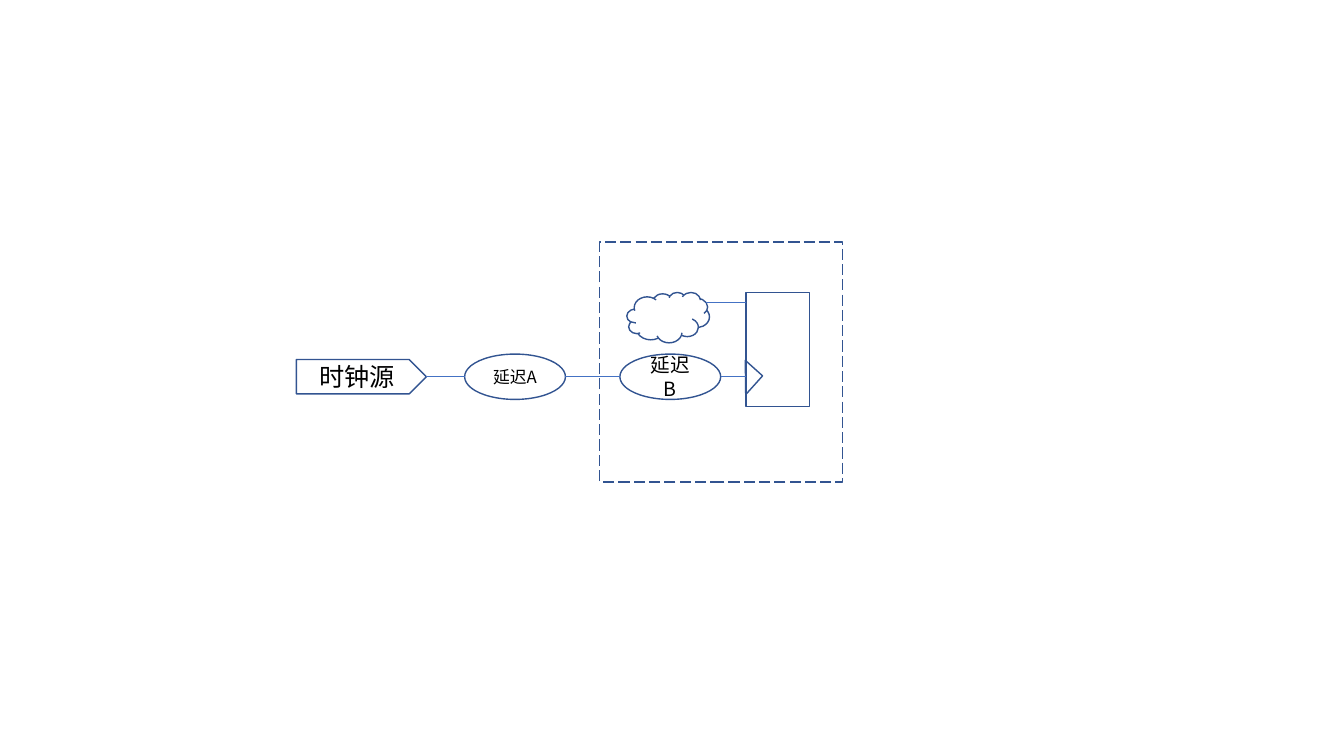
from lxml import etree
from pptx import Presentation
from pptx.dml.color import RGBColor
from pptx.enum.dml import MSO_LINE
from pptx.enum.shapes import MSO_CONNECTOR, MSO_SHAPE
from pptx.enum.text import MSO_ANCHOR, PP_ALIGN
from pptx.oxml.ns import qn
from pptx.util import Pt

OUTLINE = RGBColor(0x32, 0x54, 0x91)
WIRE = RGBColor(0x44, 0x72, 0xC4)
WHITE = RGBColor(0xFF, 0xFF, 0xFF)
BLACK = RGBColor(0, 0, 0)
FONT = "Noto Sans CJK SC"

CLOCK_AXIS = 269.1
DATA_AXIS = 216
REGISTER_LEFT = 532.8
CLOUD_WIRE_LEFT = 504

OUTLINES = [
    (MSO_SHAPE.RECTANGLE, 428.4, 172.8, 173.5, 171.4, 0, MSO_LINE.LONG_DASH),
    (MSO_SHAPE.RECTANGLE, REGISTER_LEFT, 208.8, 45.4, 81.4, 0, None),
    (MSO_SHAPE.RIGHT_TRIANGLE, 524.2, 260.6, 16.6, 18, 222, None),
    (MSO_SHAPE.CLOUD, 447.8, 208.8, 59, 36, 0, None),
]
CLOCK_STAGES = [
    (MSO_SHAPE.PENTAGON, "时钟源", 18, 211.7, 92.9, 24.5),
    (MSO_SHAPE.OVAL, "延迟A", 12, 331.9, 72, 32.4),
    (MSO_SHAPE.OVAL, "延迟B", 14, 442.8, 72, 32.4),
]


def add_outline(kind, left, top, width, height):
    shape = page.shapes.add_shape(kind, Pt(left), Pt(top), Pt(width), Pt(height))
    shape.shadow.inherit = False
    shape.fill.background()
    shape.line.color.rgb = OUTLINE
    shape.line.width = Pt(1)
    return shape


def add_stage(kind, label, size, left, width, height):
    shape = add_outline(kind, left, CLOCK_AXIS - height / 2, width, height)
    shape.fill.solid()
    shape.fill.fore_color.rgb = WHITE
    frame = shape.text_frame
    frame.text = label
    frame.word_wrap = True
    frame.vertical_anchor = MSO_ANCHOR.MIDDLE
    para = frame.paragraphs[0]
    para.alignment = PP_ALIGN.CENTER
    font = para.runs[0].font
    font.size = Pt(size)
    font.name = FONT
    font.color.rgb = BLACK
    etree.SubElement(font._element, qn("a:ea"), typeface=FONT)


def add_wire(start, end, axis):
    wire = page.shapes.add_connector(
        MSO_CONNECTOR.STRAIGHT, Pt(start), Pt(axis), Pt(end), Pt(axis))
    wire.line.color.rgb = WIRE
    wire.line.width = Pt(0.5)
    etree.SubElement(wire._element.spPr, qn("a:effectLst"))


deck = Presentation()
deck.slide_width, deck.slide_height = Pt(960), Pt(540)
page = deck.slides.add_slide(deck.slide_layouts[6])

for kind, left, top, width, height, angle, dash in OUTLINES:
    shape = add_outline(kind, left, top, width, height)
    shape.rotation = angle
    if dash:
        shape.line.dash_style = dash

add_wire(CLOUD_WIRE_LEFT, REGISTER_LEFT, DATA_AXIS)

for stage in CLOCK_STAGES:
    add_stage(*stage)

wire_starts = [left + width for *_, left, width, height in CLOCK_STAGES]
wire_ends = [left for *_, left, width, height in CLOCK_STAGES[1:]] + [REGISTER_LEFT]
for start, end in zip(wire_starts, wire_ends):
    add_wire(start, end, CLOCK_AXIS)

deck.save("out.pptx")
